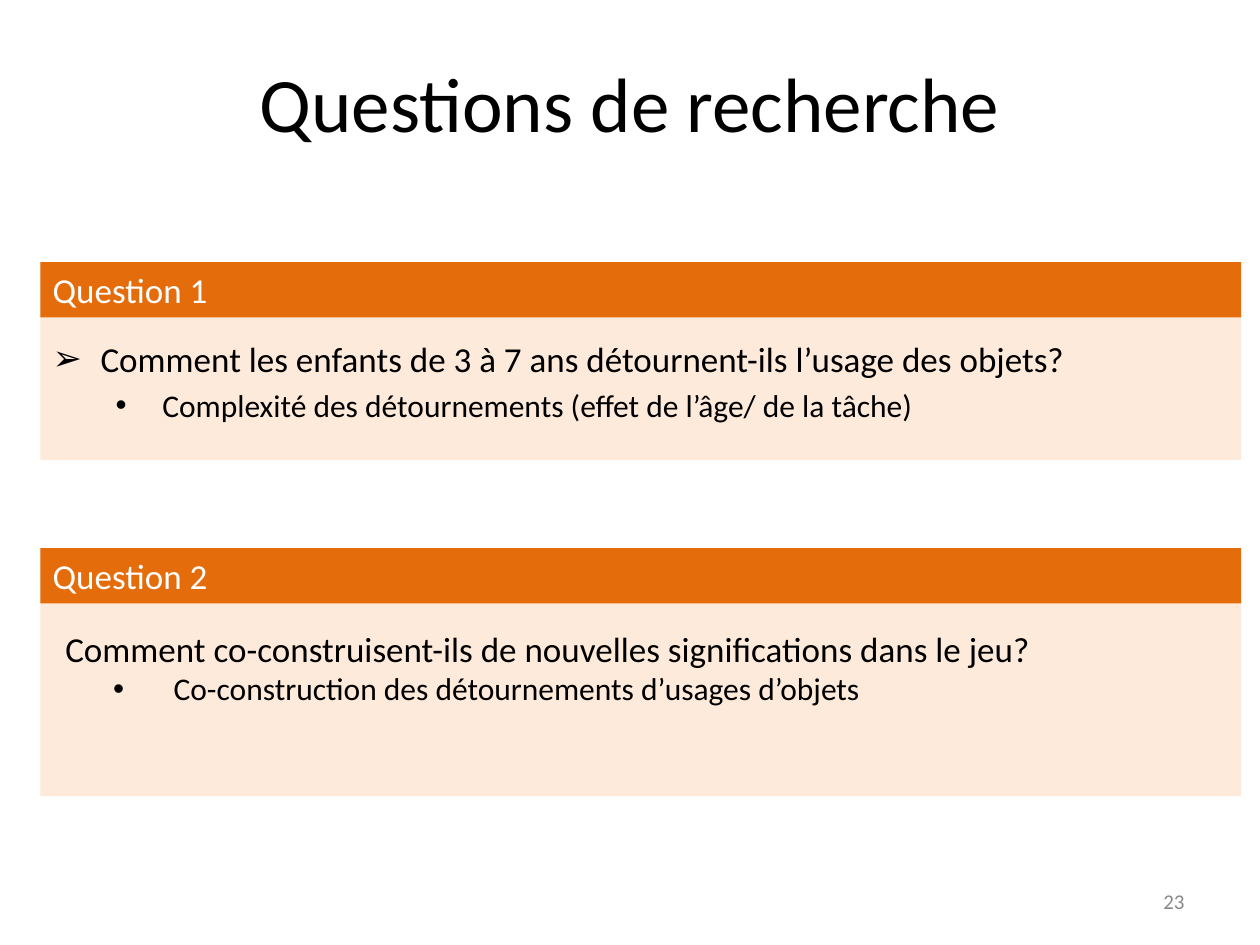
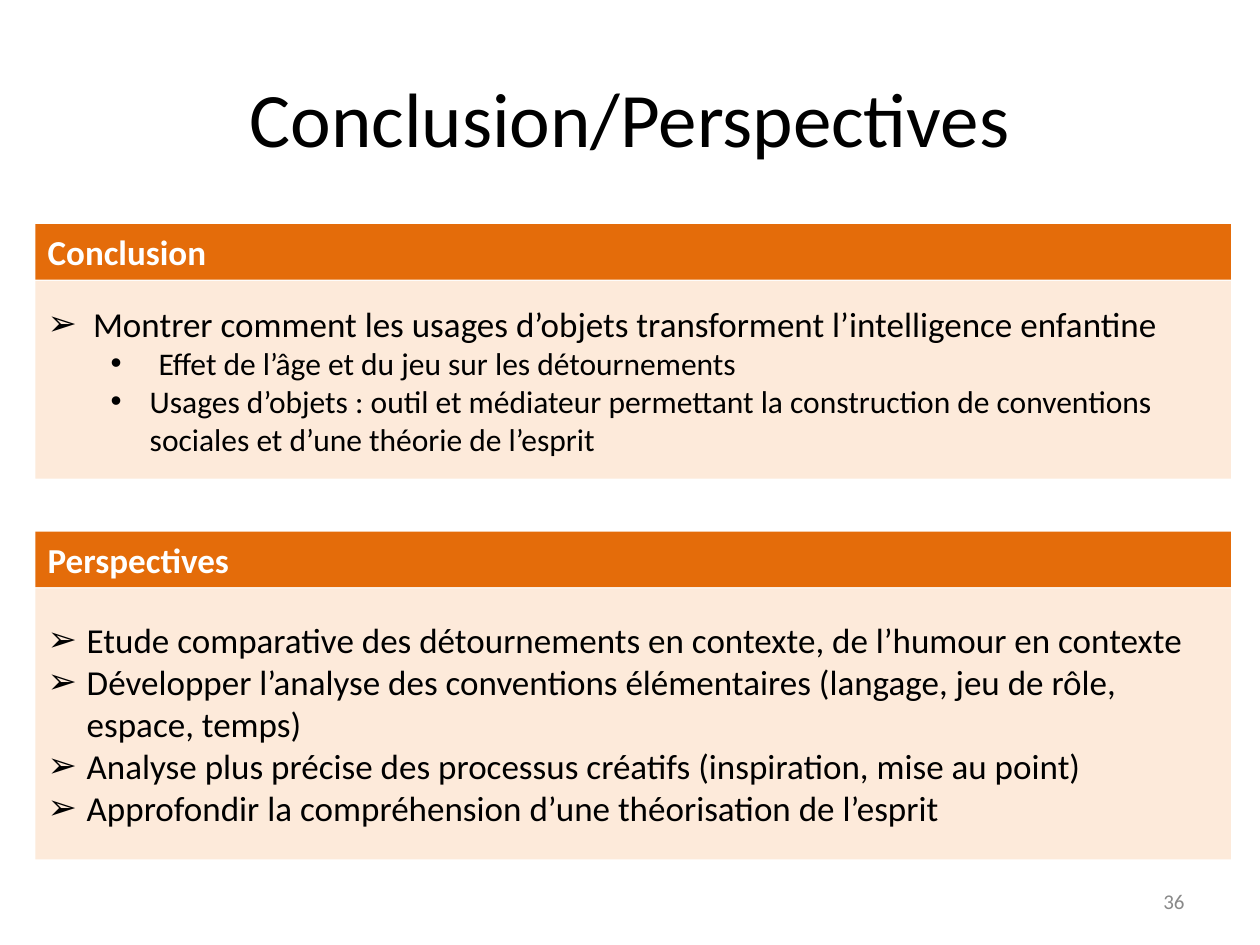
from lxml import etree
from pptx import Presentation
from pptx.dml.color import RGBColor
from pptx.enum.shapes import MSO_SHAPE
from pptx.enum.text import MSO_ANCHOR, PP_ALIGN
from pptx.oxml.ns import qn
from pptx.util import Inches, Pt

RECT = MSO_SHAPE.RECTANGLE
TOP, MIDDLE = MSO_ANCHOR.TOP, MSO_ANCHOR.MIDDLE
LEFT, CENTER, RIGHT = PP_ALIGN.LEFT, PP_ALIGN.CENTER, PP_ALIGN.RIGHT
FONT = "Calibri"
COLORS = {"band": "E46C0A", "body": "FDEADA", "text": "000000",
          "head": "FFFFFF", "number": "898989"}
BAND = 0.44
ARROW, DOT = "➢", "•"

# Item: bullet, level, text margin, first-line indent, space before, text
# Panel: heading, band top, body top, body height, text box (or None), items
SLIDES = [
    {"title": "Questions de recherche", "place": (0, 0, 10, 1.62),
     "number": "23", "left": 0.32, "width": 9.53, "bold": False,
     "panels": [
         ("Question 1", 2.08, 2.08, 1.57, (0.32, 2.63, 9.14, 1.02), [
             (ARROW, 0, 0.38, -0.38, 0,
              "Comment les enfants de 3 à 7 ans détournent-ils l’usage des objets?"),
             (DOT, 1, 0.87, -0.37, 3.6,
              "Complexité des détournements (effet de l’âge/ de la tâche)")]),
         ("Question 2", 4.35, 4.35, 1.97, (0.3, 4.93, 9.5, 0.74), [
             (None, 0, 0.12, 0, 0,
              "Comment co-construisent-ils de nouvelles significations dans le jeu?"),
             (DOT, 1, 0.98, -0.48, 0,
              "Co-construction des détournements d’usages d’objets")])]},
    {"title": "Conclusion/Perspectives", "place": (0.5, 0.3, 9, 1.25),
     "number": "36", "left": 0.28, "width": 9.49, "bold": True,
     "panels": [
         ("Conclusion", 1.78, 2.23, 1.57, None, [
             (ARROW, 0, 0.36, -0.36, 0,
              "Montrer comment les usages d’objets transforment l’intelligence enfantine"),
             (DOT, 1, 0.88, -0.38, 0,
              "Effet de l’âge et du jeu sur les détournements"),
             (DOT, 1, 0.81, -0.31, 0,
              "Usages d’objets : outil et médiateur permettant la construction "
              "de conventions sociales et d’une théorie de l’esprit")]),
         ("Perspectives", 4.22, 4.67, 2.15, None, [
             (ARROW, 0, 0.31, -0.31, 0, text) for text in (
                 "Etude comparative des détournements en contexte, de l’humour en contexte",
                 "Développer l’analyse des conventions élémentaires (langage, jeu de rôle, espace, temps)",
                 "Analyse plus précise des processus créatifs (inspiration, mise au point)",
                 "Approfondir la compréhension d’une théorisation de l’esprit")])]},
]


def add_box(slide, place, fill=None):
    """Add a filled rectangle, or a plain text box when no fill is given."""
    spot = [Inches(n) for n in place]
    if fill is None:
        box = slide.shapes.add_textbox(*spot)
    else:
        box = slide.shapes.add_shape(RECT, *spot)
        box.shadow.inherit = False
        box.fill.solid()
        box.fill.fore_color.rgb = RGBColor.from_string(COLORS[fill])
        box.line.fill.background()
    box.text_frame.word_wrap = True
    return box


def style(para, size, color, align=LEFT, bold=False):
    para.alignment = align
    for run in para.runs:
        run.font.name = FONT
        run.font.size = Pt(size)
        run.font.bold = bold
        run.font.color.rgb = RGBColor.from_string(COLORS[color])


prs = Presentation()
prs.slide_width, prs.slide_height = Inches(10), Inches(7.5)

for data in SLIDES:
    slide = prs.slides.add_slide(prs.slide_layouts[5])
    title = slide.shapes.title
    title.left, title.top, title.width, title.height = map(Inches, data["place"])
    title.text_frame.text = data["title"]
    title.text_frame.vertical_anchor = MIDDLE
    style(title.text_frame.paragraphs[0], 44, "text", CENTER)

    left, width = data["left"], data["width"]
    for heading, band_top, body_top, height, area, items in data["panels"]:
        body = add_box(slide, (left, body_top, width, height), "body")
        band = add_box(slide, (left, band_top, width, BAND), "band")
        band.text_frame.text = heading
        band.text_frame.vertical_anchor = MIDDLE
        style(band.text_frame.paragraphs[0], 20, "head", bold=data["bold"])

        frame = (add_box(slide, area) if area else body).text_frame
        frame.vertical_anchor = TOP if area else MIDDLE
        frame.text = "\n".join(item[-1] for item in items)
        for para, item in zip(frame.paragraphs, items):
            bullet, level, margin, indent, before, _ = item
            para.level = level
            para.space_before = Pt(before)
            props = para._p.get_or_add_pPr()
            props.set("marL", str(Inches(margin)))
            props.set("indent", str(Inches(indent)))
            if bullet:
                etree.SubElement(props, qn("a:buFont")).set("typeface", "Arial")
                etree.SubElement(props, qn("a:buChar")).set("char", bullet)
            style(para, 18 if level else 20, "text")

    number = add_box(slide, (7.17, 6.95, 2.33, 0.4))
    number.text_frame.text = data["number"]
    number.text_frame.vertical_anchor = MIDDLE
    style(number.text_frame.paragraphs[0], 12, "number", RIGHT)

prs.save("out.pptx")
